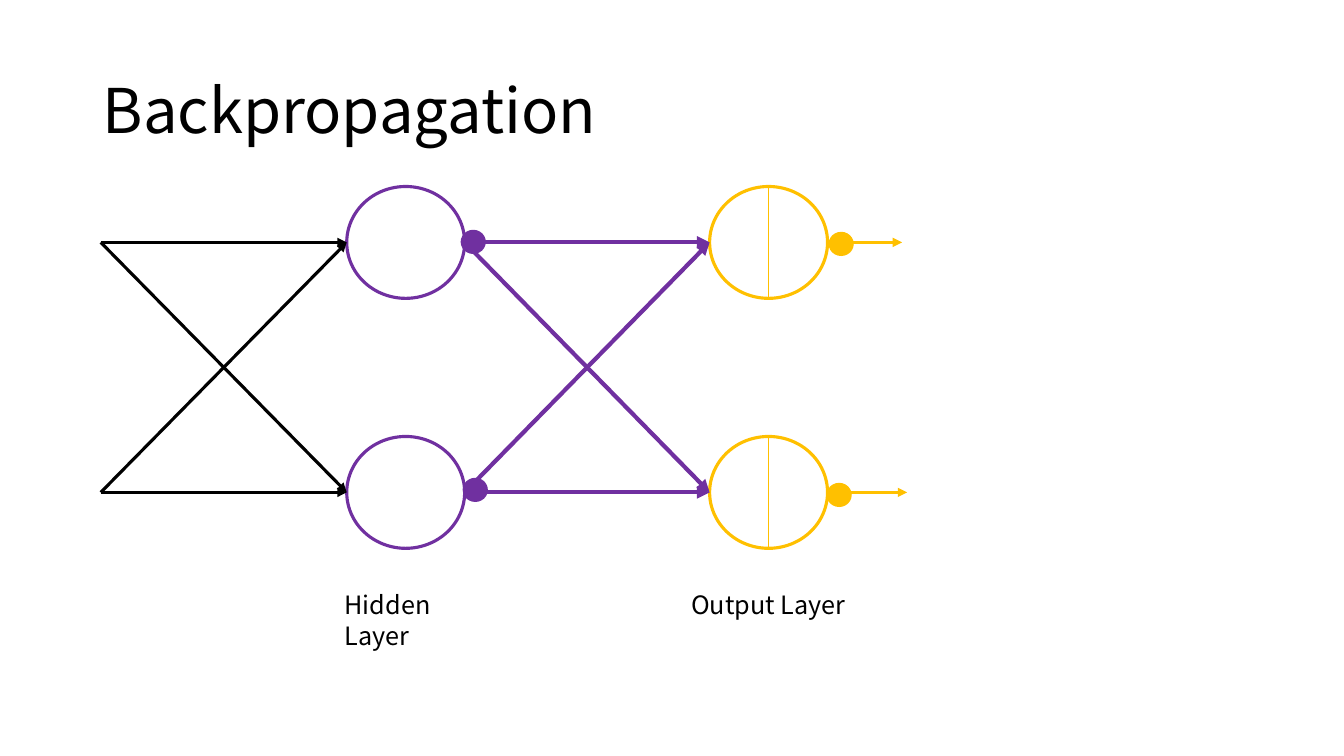
from dataclasses import dataclass
from typing import Optional

from lxml.etree import SubElement
from pptx import Presentation
from pptx.dml.color import RGBColor
from pptx.enum.shapes import MSO_CONNECTOR, MSO_SHAPE
from pptx.enum.text import MSO_ANCHOR
from pptx.oxml.ns import qn
from pptx.slide import Slide
from pptx.util import Pt

BLACK = RGBColor(0x00, 0x00, 0x00)
PURPLE = RGBColor(0x70, 0x30, 0xA0)
GOLD = RGBColor(0xFF, 0xC0, 0x00)
FONT = "Noto Sans CJK KR"

WIDE, HIGH = 84.24, 79.92
INPUT_X, HIDDEN_X, OUTPUT_X = 72, 247.68, 506.88
TOPS = (133.2, 311.76)
MIDS = tuple(top + HIGH / 2 for top in TOPS)
DOT_WIDE, DOT_HIGH = 18, 17.28


@dataclass
class Label:
    text: str
    left: float
    top: float
    width: float
    height: float
    size: float
    anchor: MSO_ANCHOR = MSO_ANCHOR.TOP
    spacing: Optional[float] = None


@dataclass
class Oval:
    left: float
    top: float
    width: float
    height: float
    color: RGBColor
    solid: bool = False


@dataclass
class Line:
    x1: float
    y1: float
    x2: float
    y2: float
    color: RGBColor
    weight: float
    arrow: bool = True


def add_label(slide: Slide, label: Label) -> None:
    box = slide.shapes.add_textbox(
        Pt(label.left), Pt(label.top), Pt(label.width), Pt(label.height))
    frame = box.text_frame
    frame.word_wrap = True
    frame.vertical_anchor = label.anchor
    para = frame.paragraphs[0]
    para.text = label.text
    para.line_spacing = label.spacing
    para.font.name = FONT
    para.font.size = Pt(label.size)
    para.font.color.rgb = BLACK


def add_oval(slide: Slide, oval: Oval) -> None:
    shape = slide.shapes.add_shape(
        MSO_SHAPE.OVAL, Pt(oval.left), Pt(oval.top),
        Pt(oval.width), Pt(oval.height))
    shape.shadow.inherit = False
    if oval.solid:
        shape.fill.solid()
        shape.fill.fore_color.rgb = oval.color
        shape.line.fill.background()
    else:
        shape.fill.background()
        shape.line.color.rgb = oval.color
        shape.line.width = Pt(2.25)


def add_line(slide: Slide, line: Line) -> None:
    link = slide.shapes.add_connector(
        MSO_CONNECTOR.STRAIGHT, Pt(line.x1), Pt(line.y1),
        Pt(line.x2), Pt(line.y2))
    link.line.color.rgb = line.color
    link.line.width = Pt(line.weight)
    if line.arrow:
        SubElement(link.line._get_or_add_ln(), qn("a:tailEnd"), type="triangle")
    SubElement(link._element.spPr, qn("a:effectLst"))


LABELS = [
    Label("Backpropagation", 66.24, 28.8, 828, 104.4, 44,
          MSO_ANCHOR.MIDDLE, 0.9),
    Label("Hidden Layer", 239.04, 417.6, 124.56, 28.8, 18),
    Label("Output Layer", 486.72, 417.6, 124.56, 28.8, 18),
]
NODES = [Oval(left, top, WIDE, HIGH, color)
         for left, color in ((HIDDEN_X, PURPLE), (OUTPUT_X, GOLD))
         for top in TOPS]
LINKS = [Line(start, y1, end, y2, color, weight)
         for start, end, color, weight in (
             (INPUT_X, HIDDEN_X, BLACK, 2.25),
             (HIDDEN_X + WIDE, OUTPUT_X, PURPLE, 3))
         for y1 in MIDS for y2 in MIDS]
EXITS = [Line(OUTPUT_X + WIDE, mid, end, mid, GOLD, 2.25)
         for mid, end in zip(MIDS, (644.4, 648))]
DOTS = [Oval(left, top, DOT_WIDE, DOT_HIGH, color, True)
        for left, top, color in (
            (329.04, 164.16, PURPLE), (330.48, 341.28, PURPLE),
            (590.4, 344.88, GOLD), (591.84, 165.6, GOLD))]
SPLIT_X = OUTPUT_X + WIDE / 2
SPLITS = [Line(SPLIT_X, top, SPLIT_X, top + HIGH, GOLD, 0.5, False)
          for top in TOPS]


def main() -> None:
    deck = Presentation()
    deck.slide_width, deck.slide_height = Pt(960), Pt(540)
    slide = deck.slides.add_slide(deck.slide_layouts[6])
    for label in LABELS:
        add_label(slide, label)
    for node in NODES:
        add_oval(slide, node)
    for line in LINKS + EXITS:
        add_line(slide, line)
    for dot in DOTS:
        add_oval(slide, dot)
    for line in SPLITS:
        add_line(slide, line)
    deck.save("out.pptx")


if __name__ == "__main__":
    main()
